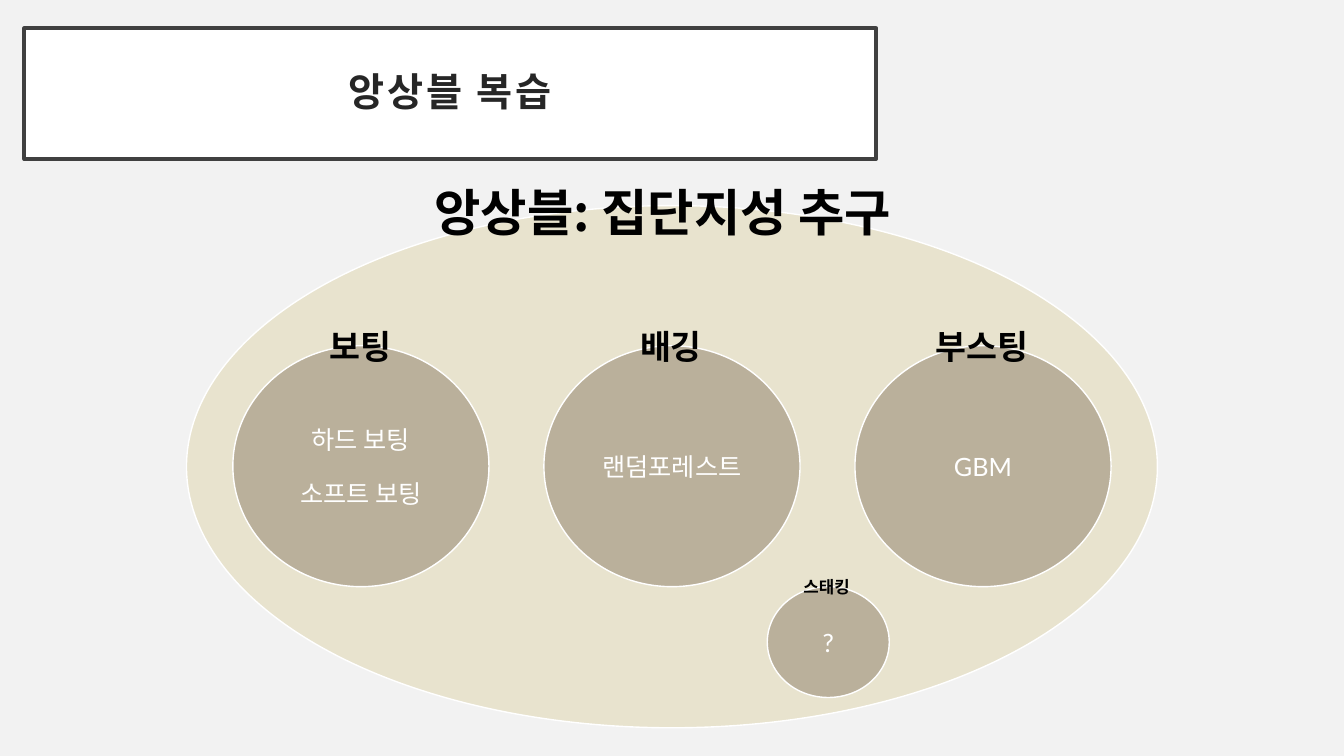
from lxml.etree import SubElement
from pptx import Presentation
from pptx.dml.color import RGBColor
from pptx.enum.shapes import MSO_SHAPE
from pptx.enum.text import MSO_ANCHOR, PP_ALIGN
from pptx.oxml.ns import qn
from pptx.util import Inches, Pt

KOREAN, LATIN = "Noto Sans CJK KR", "Lato"
SAND, TAUPE, WHITE, BLACK = "E8E3CE", "BAB09B", "FFFFFF", "000000"

TITLE = "앙상블 복습"
HEADLINE = "앙상블: 집단지성 추구"
# label, label left, label width, lines inside the circle, font
METHODS = [
    ("보팅", 3.17, 0.83, ["하드 보팅", "소프트 보팅"], KOREAN),
    ("배깅", 6.25, 0.83, ["랜덤포레스트"], LATIN),
    ("부스팅", 9.18, 1.15, ["GBM"], LATIN),
]
LEFT, TOP, WIDTH, HEIGHT, STEP = 2.31, 3.43, 2.54, 2.39, 3.085


def color(code):
    """Turn a hex string into a colour."""
    return RGBColor.from_string(code)


def write(shape, lines, size, tint, font=KOREAN, bold=False, align=PP_ALIGN.CENTER,
          gap=0, track=0):
    """Write lines of text with one style into a shape."""
    frame = shape.text_frame
    frame.text = "\n".join(lines)
    for index, para in enumerate(frame.paragraphs):
        para.alignment = align
        para.space_before = Pt(gap if index else 0)
        style = para.font
        style.name, style.size, style.bold = font, Pt(size), bold
        style.color.rgb = color(tint)
        props = para._p.pPr.find(qn("a:defRPr"))
        SubElement(props, qn("a:ea")).set("typeface", KOREAN)
        if track:
            props.set("spc", str(track * 100))
    return frame


def draw(slide, kind, box, fill, line=WHITE, weight=1):
    """Add a flat filled shape with an outline."""
    shape = slide.shapes.add_shape(kind, *map(Inches, box))
    shape.shadow.inherit = False
    shape.fill.solid()
    shape.fill.fore_color.rgb = color(fill)
    shape.line.color.rgb = color(line)
    shape.line.width = Pt(weight)
    shape.text_frame.vertical_anchor = MSO_ANCHOR.MIDDLE
    return shape


def label(slide, text, box, size, wrap=False):
    """Add a bold black label."""
    shape = slide.shapes.add_textbox(*map(Inches, box))
    frame = write(shape, [text], size, BLACK, bold=True, align=PP_ALIGN.LEFT)
    frame.word_wrap = wrap


deck = Presentation()
deck.slide_width, deck.slide_height = Inches(13.33), Inches(7.5)
slide = deck.slides.add_slide(deck.slide_layouts[6])
slide.background.fill.solid()
slide.background.fill.fore_color.rgb = color("F2F2F2")

draw(slide, MSO_SHAPE.OVAL, (1.85, 2.04, 9.63, 5.18), SAND)
title = draw(slide, MSO_SHAPE.RECTANGLE, (0.24, 0.28, 8.45, 1.3), WHITE, "404040", 2.5)
write(title, [TITLE], 28, "262626", bold=True, track=2).paragraphs[0].line_spacing = 0.9

for index, (name, left, width, lines, font) in enumerate(METHODS):
    circle = draw(slide, MSO_SHAPE.OVAL, (LEFT + index * STEP, TOP, WIDTH, HEIGHT), TAUPE)
    write(circle, lines, 18, WHITE, font, gap=17)
    label(slide, name, (left, 3.18, width, 0.5), 24)

stack = draw(slide, MSO_SHAPE.OVAL, (7.61, 5.82, 1.21, 1.1), TAUPE)
write(stack, ["?"], 18, WHITE, LATIN)
label(slide, "스태킹", (7.87, 5.67, 0.68, 0.3), 12)
label(slide, HEADLINE, (4.21, 1.75, 4.91, 0.71), 36, wrap=True)

deck.save("out.pptx")
